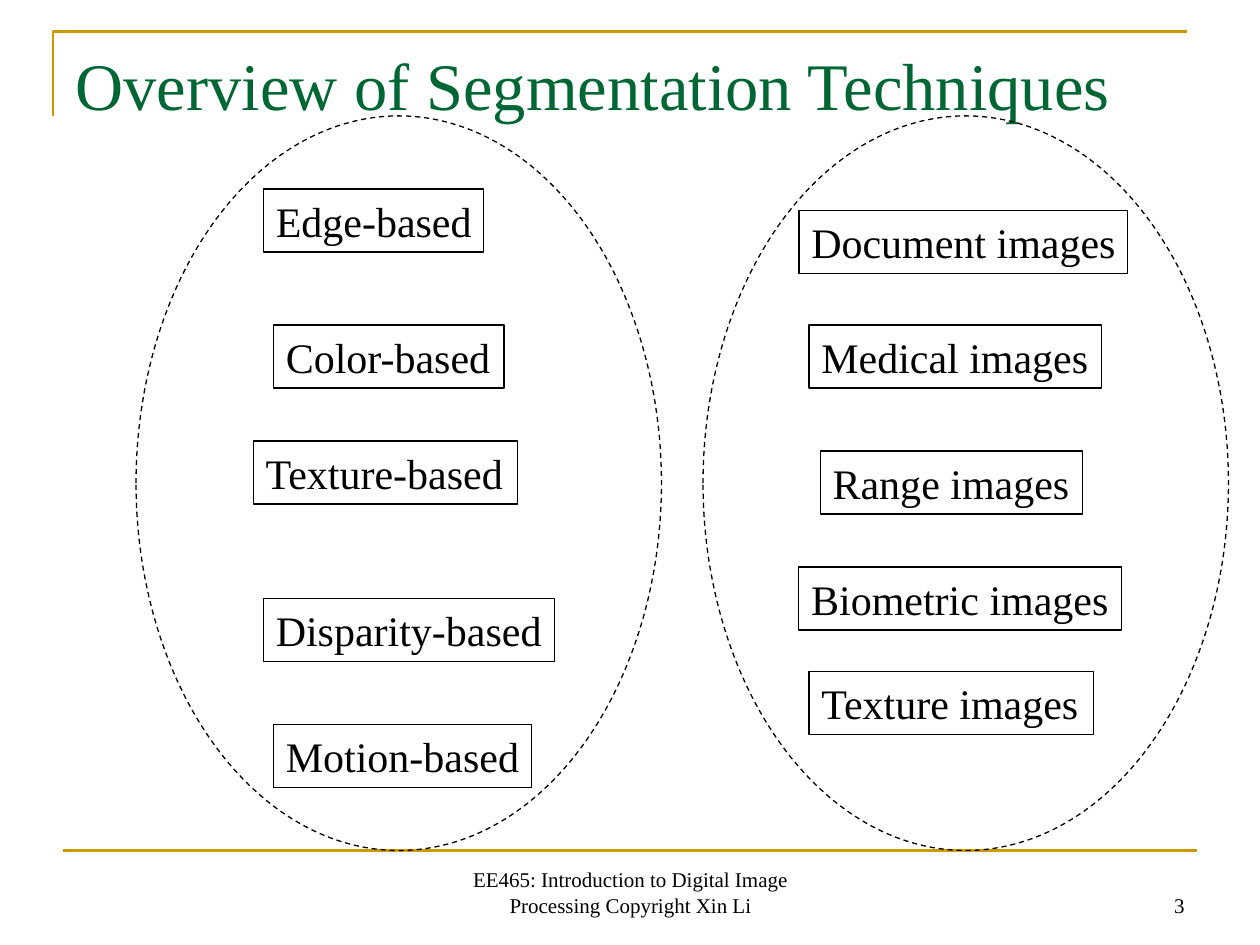
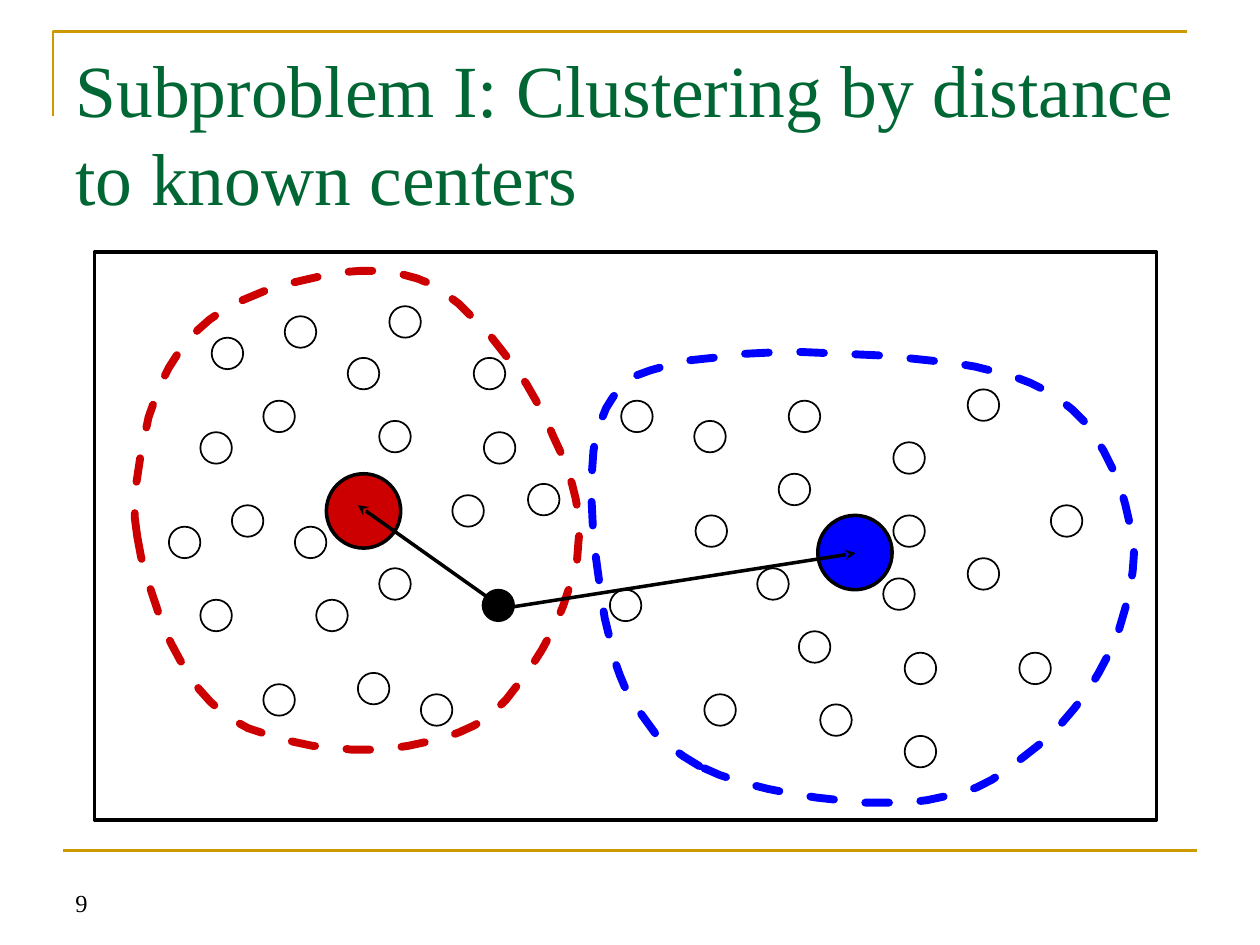
from dataclasses import dataclass
from typing import Optional

from lxml import etree
from pptx import Presentation
from pptx import util as u
from pptx.dml import color
from pptx.enum import dml, shapes, text
from pptx.oxml import ns

# Shared look: 100 px to the inch
PX = 9144
FONT = "Times New Roman"
BLACK, GOLD, GREEN = "000000", "CC9900", "006633"
RED, BLUE = "CC0000", "0000FF"
ALIGN = text.PP_ALIGN
OVAL = shapes.MSO_SHAPE.OVAL
RECTANGLE = shapes.MSO_SHAPE.RECTANGLE
DASH = dml.MSO_LINE.DASH

Point = tuple[int, int]


@dataclass(frozen=True)
class Area:
    left: int
    top: int
    width: int
    height: int

    def emu(self) -> list[int]:
        return [n * PX for n in (self.left, self.top, self.width, self.height)]


@dataclass(frozen=True)
class Label:
    words: str
    left: int
    top: int
    width: int


@dataclass(frozen=True)
class Cluster:
    hue: str
    center: Point
    dots: list[Point]
    bends: list[Point]


TITLE = Area(50, 30, 900, 125)
FOOTER = Area(342, 683, 317, 50)
NUMBER_LEFT = Area(50, 683, 233, 50)
NUMBER_RIGHT = Area(717, 683, 233, 50)

# Overview slide
LABEL_HEIGHT = 50
GROUP_LEFTS = (108, 558)
LABELS = [
    Label("Edge-based", 209, 150, 175),
    Label("Color-based", 217, 258, 183),
    Label("Texture-based", 201, 350, 210),
    Label("Disparity-based", 209, 475, 231),
    Label("Motion-based", 217, 575, 205),
    Label("Document images", 634, 167, 261),
    Label("Medical images", 642, 258, 232),
    Label("Range images", 651, 358, 208),
    Label("Biometric images", 634, 450, 256),
    Label("Texture images", 642, 533, 226),
]

# Clustering slide
DOT, CENTER = 25, 59
CURVE_STEPS = 5
FRAME = Area(75, 200, 843, 451)
SAMPLE = Area(383, 468, DOT, DOT)
ARROWS = [((394, 479), (284, 401)), ((392, 484), (679, 439))]
CLUSTERS = [
    Cluster(
        RED, (259, 376),
        [(168, 268), (159, 343), (234, 418), (276, 284), (251, 476),
         (209, 318), (134, 418), (301, 334), (384, 343), (359, 393),
         (334, 551), (159, 476), (284, 534), (376, 284), (184, 401),
         (209, 543), (226, 251), (419, 384), (301, 451), (309, 243)],
        [(109, 426), (112, 359), (134, 292), (176, 247), (234, 224),
         (298, 215), (352, 232), (409, 292), (445, 359), (460, 420),
         (447, 481), (416, 537), (376, 576), (310, 594), (234, 589),
         (176, 565), (136, 511)],
    ),
    Cluster(
        BLUE, (649, 409),
        [(809, 518), (709, 409), (768, 309), (626, 318), (718, 584),
         (493, 318), (768, 443), (552, 409), (551, 334), (484, 468),
         (709, 351), (634, 501), (601, 451), (701, 459), (618, 376),
         (559, 551), (718, 518), (834, 401), (651, 559)],
        [(555, 608), (504, 560), (480, 491), (469, 388), (481, 324),
         (516, 294), (607, 280), (718, 284), (805, 299), (860, 334),
         (893, 400), (897, 467), (863, 549), (799, 611), (736, 635),
         (648, 633)],
    ),
]


def rgb(value: str) -> color.RGBColor:
    return color.RGBColor.from_string(value)


def smooth_loop(bends: list[Point]) -> list[tuple[float, float]]:
    """Round a closed loop through its bends with a Catmull-Rom curve."""
    loop = []
    for index in range(len(bends)):
        near = [bends[(index + shift) % len(bends)] for shift in (-1, 0, 1, 2)]
        for step in range(CURVE_STEPS):
            t = step / CURVE_STEPS
            x, y = (
                b + t * ((c - a) + t * ((2 * a - 5 * b + 4 * c - d)
                                        + t * (3 * b - a - 3 * c + d))) / 2
                for a, b, c, d in zip(*near)
            )
            loop.append((x, y))
    return loop


def style_line(shape, hue: str, points: float) -> None:
    shape.line.color.rgb = rgb(hue)
    shape.line.width = u.Pt(points)


def add_text(box, words: str, size: int, hue: str = BLACK,
             align=ALIGN.LEFT, anchor=text.MSO_ANCHOR.TOP, wrap: bool = True) -> None:
    frame = box.text_frame
    frame.word_wrap = wrap
    frame.auto_size = text.MSO_AUTO_SIZE.NONE
    frame.vertical_anchor = anchor
    para = frame.paragraphs[0]
    para.alignment = align
    span = para.add_run()
    span.text = words
    span.font.name = FONT
    span.font.size = u.Pt(size)
    span.font.color.rgb = rgb(hue)


def add_figure(page, kind, area: Area, points: float, fill: Optional[str] = None):
    figure = page.shapes.add_shape(kind, *area.emu())
    figure.shadow.inherit = False
    if fill:
        figure.fill.solid()
        figure.fill.fore_color.rgb = rgb(fill)
    else:
        figure.fill.background()
    style_line(figure, BLACK, points)
    return figure


def add_outline(page, corners: list, hue: str, points: float, close: bool):
    builder = page.shapes.build_freeform(*corners[0], scale=PX)
    builder.add_line_segments(corners[1:], close=close)
    outline = builder.convert_to_shape()
    outline.shadow.inherit = False
    outline.fill.background()
    style_line(outline, hue, points)
    return outline


def add_line(page, start: Point, end: Point, hue: str, points: float,
             arrow: bool = False) -> None:
    ends = [n * PX for n in (*start, *end)]
    line = page.shapes.add_connector(shapes.MSO_CONNECTOR.STRAIGHT, *ends)
    style_line(line, hue, points)
    properties = line.element.spPr
    if arrow:
        stroke = properties.find(ns.qn("a:ln"))
        etree.SubElement(stroke, ns.qn("a:tailEnd"), type="stealth")
    etree.SubElement(properties, ns.qn("a:effectLst"))


def add_note(page, area: Area, words: str, size: int, align=ALIGN.LEFT) -> None:
    box = page.shapes.add_textbox(*area.emu())
    add_text(box, words, size, align=align, anchor=text.MSO_ANCHOR.BOTTOM)


def add_page(deck, title: str, size: int):
    """Add a slide with the gold rules and a green title."""
    page = deck.slides.add_slide(deck.slide_layouts[5])
    heading = page.shapes.title
    heading.left, heading.top, heading.width, heading.height = TITLE.emu()
    add_text(heading, title, size, GREEN)
    add_outline(page, [(42, 92), (42, 25), (942, 25)], GOLD, 1.5, close=False)
    add_line(page, (50, 675), (950, 675), GOLD, 1.5)
    return page


def build_overview(deck) -> None:
    page = add_page(deck, "Overview of Segmentation Techniques", 38)
    add_note(page, FOOTER,
             "EE465: Introduction to Digital Image Processing Copyright Xin Li",
             12, ALIGN.CENTER)
    add_note(page, NUMBER_RIGHT, "3", 12, ALIGN.RIGHT)
    for label in LABELS:
        area = Area(label.left, label.top, label.width, LABEL_HEIGHT)
        box = add_figure(page, RECTANGLE, area, 0.75)
        add_text(box, label.words, 24, wrap=False)
    for left in GROUP_LEFTS:
        group = add_figure(page, OVAL, Area(left, 92, 417, 583), 0.75)
        group.line.dash_style = DASH


def build_clustering(deck) -> None:
    page = add_page(deck, "Subproblem I: Clustering by distance to known centers", 42)
    add_note(page, NUMBER_LEFT, "9", 14)
    add_figure(page, RECTANGLE, FRAME, 2)
    for cluster in CLUSTERS:
        for dot in cluster.dots:
            add_figure(page, OVAL, Area(*dot, DOT, DOT), 1)
        loop = smooth_loop(cluster.bends)
        outline = add_outline(page, loop, cluster.hue, 4.5, close=True)
        outline.line.dash_style = DASH
        outline.element.spPr.find(ns.qn("a:ln")).set("cap", "rnd")
    # Sample point, cluster centers and the distances between them
    add_figure(page, OVAL, SAMPLE, 1, BLACK)
    for cluster in CLUSTERS:
        add_figure(page, OVAL, Area(*cluster.center, CENTER, CENTER), 2, cluster.hue)
    for start, end in ARROWS:
        add_line(page, start, end, BLACK, 2, arrow=True)


def main() -> None:
    deck = Presentation()
    deck.slide_width, deck.slide_height = 1000 * PX, 750 * PX
    build_overview(deck)
    build_clustering(deck)
    deck.save("out.pptx")


if __name__ == "__main__":
    main()
